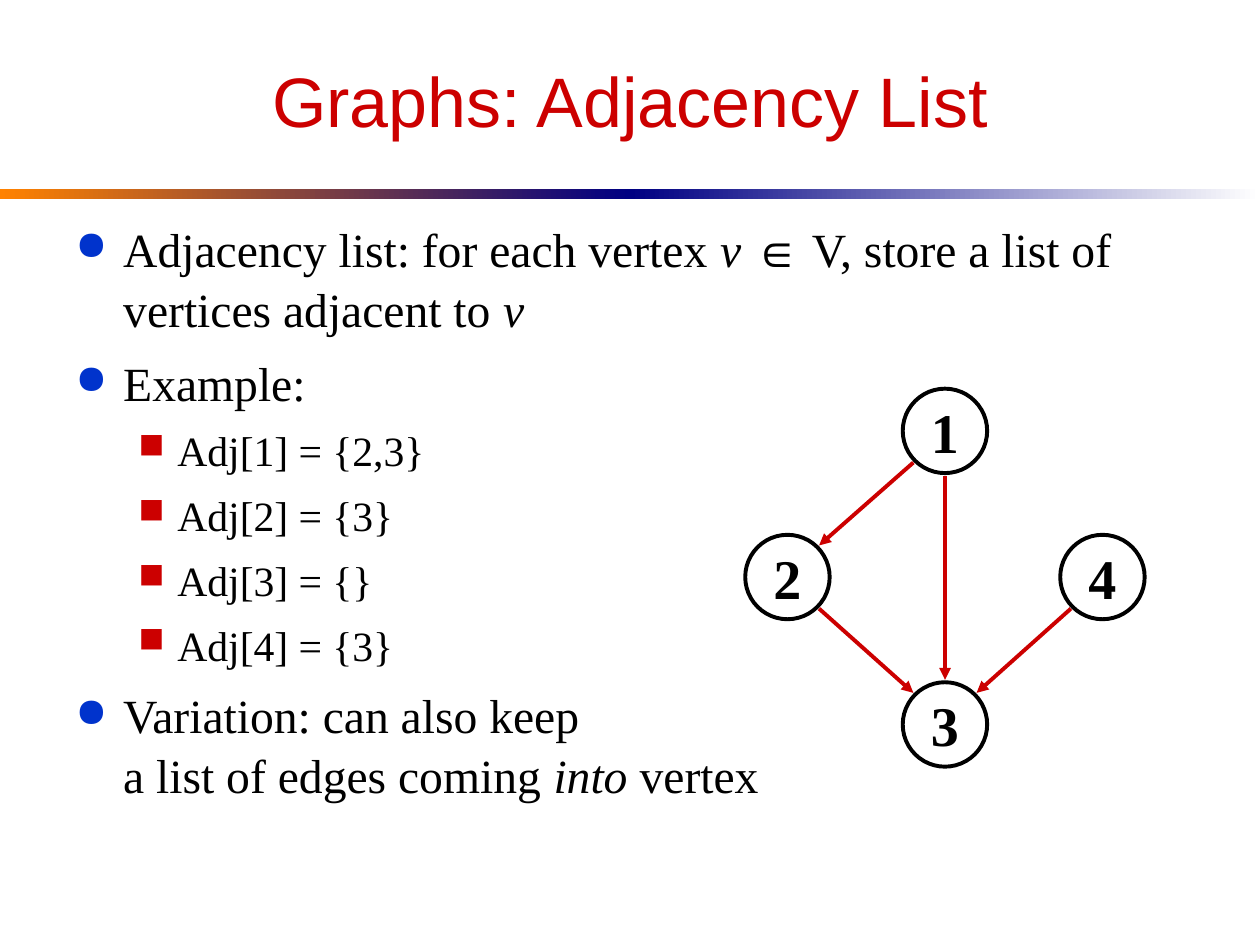
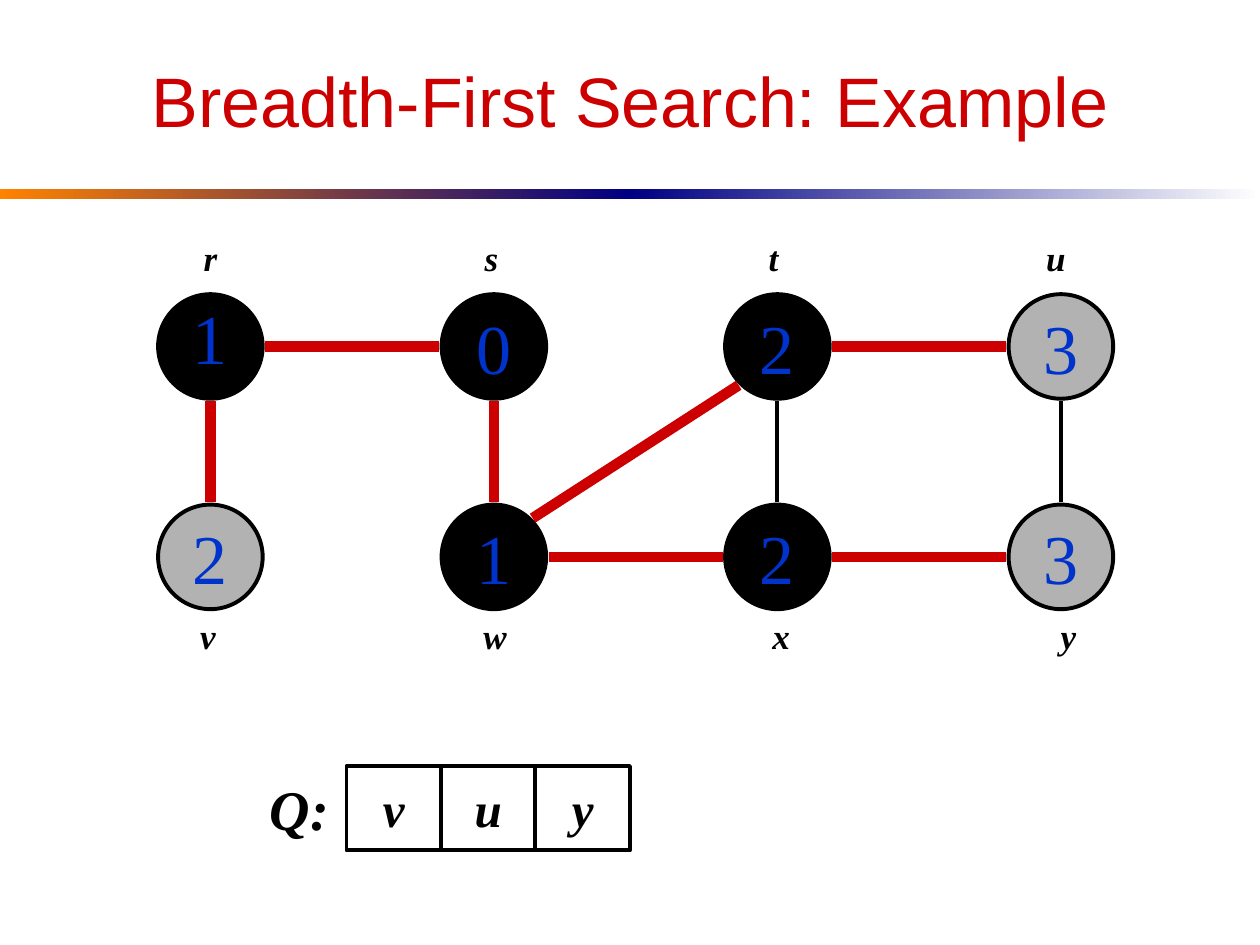
from math import hypot
from lxml.etree import SubElement
from pptx import Presentation
from pptx.dml.color import RGBColor
from pptx.enum.shapes import MSO_CONNECTOR, MSO_SHAPE
from pptx.enum.text import MSO_ANCHOR, PP_ALIGN
from pptx.oxml.ns import qn
from pptx.util import Inches, Pt

RED, BLUE, BLACK, GRAY = "CC0000", "0033CC", "000000", "B2B2B2"
NAVY, ORANGE, WHITE = "000082", "FF8200", "FFFFFF"
SERIF, SANS = "Times New Roman", "Arial"
THIN, THICK = 2.24, 6

TITLE = {"name": SANS, "size": 40, "color": RED}
NODE = {"name": SERIF, "size": 32, "color": BLACK, "bold": True}
DISTANCE = {"name": SERIF, "size": 40, "color": BLUE}
LABEL = {"name": SERIF, "size": 20, "color": BLACK, "bold": True, "italic": True}
QUEUE_NAME = {**LABEL, "size": 32}
QUEUE_ITEM = {**LABEL, "size": 28}
ITALIC = {"italic": True}

BANDS = [(0, ORANGE, NAVY), (5, NAVY, WHITE)]
LEVELS = [
    {"size": 27.2, "before": 8, "margin": 0.38, "hang": 0.38, "mark": "●", "color": BLUE},
    {"size": 23.8, "before": 7, "margin": 0.81, "hang": 0.31, "mark": "■", "color": RED},
]
BULLETS = [
    (0, [("Adjacency list: for each vertex ", {}), ("v ", ITALIC), ("∈", {"name": SANS}),
         (" V, store a list of vertices adjacent to ", {}), ("v", ITALIC)]),
    (0, [("Example:", {})]),
    (1, [("Adj[1] = {2,3}", {})]),
    (1, [("Adj[2] = {3}", {})]),
    (1, [("Adj[3] = {}", {})]),
    (1, [("Adj[4] = {3}", {})]),
    (0, [("Variation: can also keep ", {}), ("\n", {}),
         ("a list of edges coming ", {}), ("into ", ITALIC), ("vertex", {})]),
]

VERTICES = {"1": (7.5, 3.42), "2": (6.25, 4.58), "4": (8.75, 4.58), "3": (7.5, 5.75)}
ARROWS = ["12", "23", "43", "13"]

SEARCH_ROWS = [
    (2.75, 1.83, [("r", "1", BLACK, 1.67), ("s", "0", BLACK, 3.9),
                  ("t", "2", BLACK, 6.14), ("u", "3", GRAY, 8.38)]),
    (4.42, 4.83, [("v", "2", GRAY, 1.65), ("w", "1", BLACK, 3.93),
                  ("x", "2", BLACK, 6.2), ("y", "3", GRAY, 8.48)]),
]
TREE_EDGES = ["vr", "rs", "sw", "wt", "wx", "tu", "xy"]
OTHER_EDGES = ["xt", "yu"]
QUEUE = ["v", "u", "y"]


def rgb(value):
    return RGBColor.from_string(value)


def add_span(para, text, style):
    span = para.add_run()
    span.text = text
    for key, value in style.items():
        if key == "color":
            span.font.color.rgb = rgb(value)
        else:
            setattr(span.font, key, Pt(value) if key == "size" else value)


def write(box, text, style, anchor=MSO_ANCHOR.MIDDLE, wrap=False):
    frame = box.text_frame
    frame.word_wrap = wrap
    frame.vertical_anchor = anchor
    para = frame.paragraphs[0]
    para.alignment = PP_ALIGN.CENTER
    add_span(para, text, style)
    return para


def add_text(page, place, text, style, **layout):
    write(page.shapes.add_textbox(*map(Inches, place)), text, style, **layout)


def add_outline(page, kind, place, text, style, fill=None):
    box = page.shapes.add_shape(kind, *map(Inches, place))
    box.shadow.inherit = False
    if fill:
        box.fill.solid()
        box.fill.fore_color.rgb = rgb(fill)
    else:
        box.fill.background()
    box.line.color.rgb = rgb(BLACK)
    box.line.width = Pt(THIN)
    return write(box, text, style)


def add_node(page, center, size, text, style, fill=None):
    left, top = (value - size / 2 for value in center)
    return add_outline(page, MSO_SHAPE.OVAL, (left, top, size, size), text, style, fill)


def add_edge(page, start, end, size, color, width, arrow=False):
    step = [(b > a) - (b < a) for a, b in zip(start, end)]
    reach = (size / 2 + 0.02) / hypot(*step)
    begin = [a + reach * s for a, s in zip(start, step)]
    finish = [b - reach * s for b, s in zip(end, step)]
    edge = page.shapes.add_connector(MSO_CONNECTOR.STRAIGHT, *map(Inches, begin + finish))
    edge.line.color.rgb = rgb(color)
    edge.line.width = Pt(width)
    if arrow:
        SubElement(edge.line._get_or_add_ln(), qn("a:tailEnd"), type="triangle")
    SubElement(edge._element.spPr, qn("a:effectLst"))


def add_bullet(para, level, spans):
    look = LEVELS[level]
    para.level = level
    para.space_before = Pt(look["before"])
    para.line_spacing = 1.05
    properties = para._p.get_or_add_pPr()
    properties.set("marL", str(Inches(look["margin"])))
    properties.set("indent", str(-Inches(look["hang"])))
    color = SubElement(properties, qn("a:buClr"))
    SubElement(color, qn("a:srgbClr"), val=look["color"])
    SubElement(properties, qn("a:buSzPct"), val="85000")
    SubElement(properties, qn("a:buChar"), char=look["mark"])
    for text, change in spans:
        if text == "\n":
            para.add_line_break()
        else:
            add_span(para, text, {"name": SERIF, "size": look["size"], "color": BLACK, **change})


def add_page(deck, title):
    page = deck.slides.add_slide(deck.slide_layouts[6])
    for left, first, last in BANDS:
        band = page.shapes.add_shape(MSO_SHAPE.RECTANGLE, *map(Inches, (left, 1.5, 5, 0.08)))
        band.shadow.inherit = False
        band.line.fill.background()
        band.fill.gradient()
        band.fill.gradient_angle = 0
        for stop, color in zip(band.fill.gradient_stops, (first, last)):
            stop.color.rgb = rgb(color)
    add_text(page, (0.5, 0.25, 9, 1.08), title, TITLE, wrap=True)
    return page


def build_adjacency(deck):
    page = add_page(deck, "Graphs: Adjacency List")
    frame = page.shapes.add_textbox(*map(Inches, (0.5, 1.67, 9, 4.75))).text_frame
    frame.word_wrap = True
    for index, (level, spans) in enumerate(BULLETS):
        para = frame.add_paragraph() if index else frame.paragraphs[0]
        add_bullet(para, level, spans)
    size = 0.67
    for name, center in VERTICES.items():
        add_node(page, center, size, name, NODE)
    for start, end in ARROWS:
        add_edge(page, VERTICES[start], VERTICES[end], size, RED, THIN, arrow=True)


def build_search(deck):
    page = add_page(deck, "Breadth-First Search: Example")
    size, centers = 0.83, {}
    for middle, label_top, row in SEARCH_ROWS:
        for column, (name, distance, fill, label_middle) in enumerate(row):
            centers[name] = (1.67 + 2.25 * column, middle)
            para = add_node(page, centers[name], size, distance, DISTANCE, fill)
            if name == "r":
                para.line_spacing = 0.7
            add_text(page, (label_middle - 0.2, label_top, 0.4, 0.44), name, LABEL,
                     anchor=MSO_ANCHOR.TOP)
    for edges, color, width in ((TREE_EDGES, RED, THICK), (OTHER_EDGES, BLACK, THIN)):
        for start, end in edges:
            add_edge(page, centers[start], centers[end], size, color, width)
    cell, top, height = 0.75, 6.08, 0.67
    add_text(page, (2, top, cell, height), "Q:", QUEUE_NAME)
    for index, name in enumerate(QUEUE):
        place = (2.75 + cell * index, top, cell, height)
        add_outline(page, MSO_SHAPE.RECTANGLE, place, name, QUEUE_ITEM)


deck = Presentation()
deck.slide_width, deck.slide_height = Inches(10), Inches(7.5)
build_adjacency(deck)
build_search(deck)
deck.save("out.pptx")
